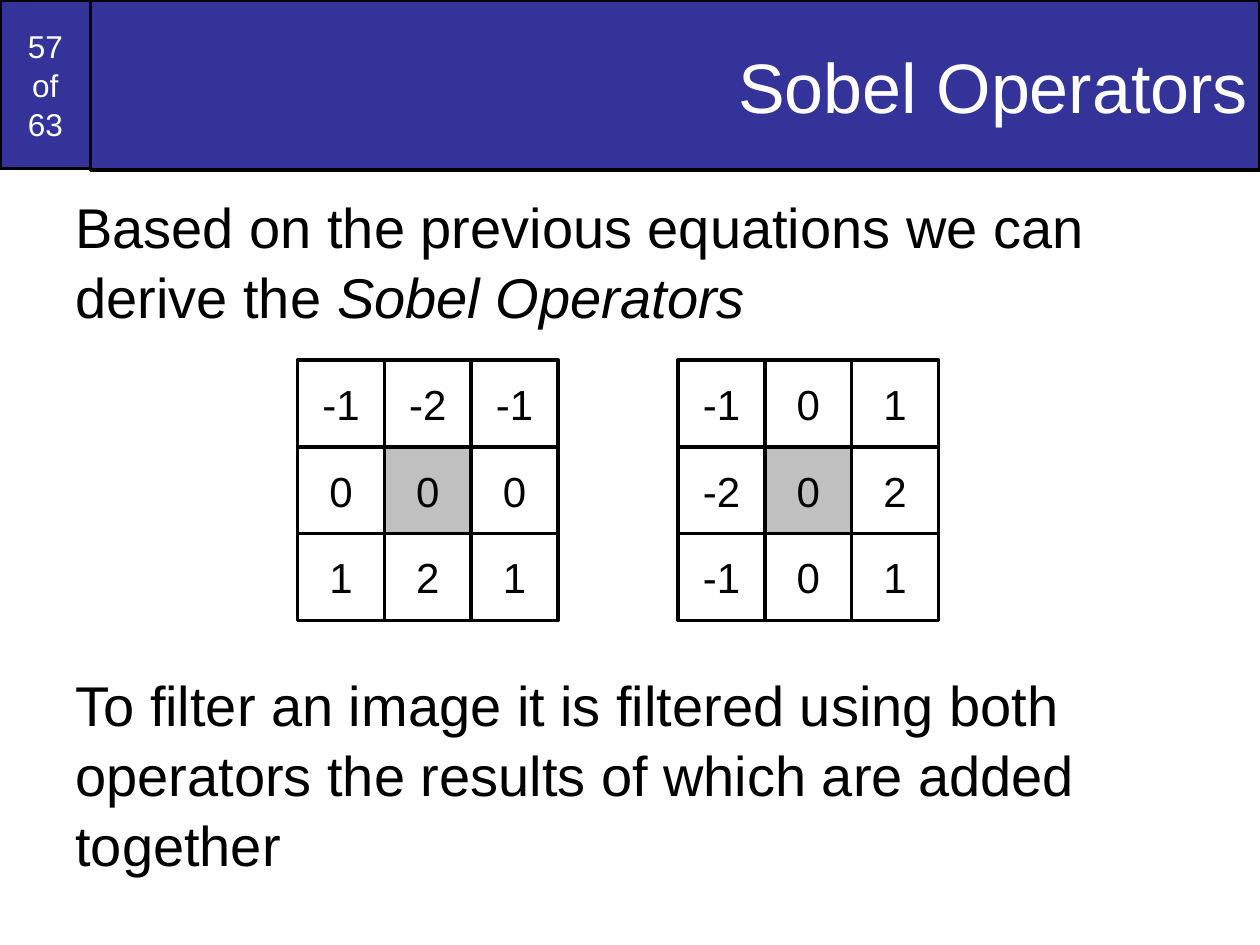
import pptx
import pptx.dml.color
import pptx.enum.shapes
import pptx.enum.text
import pptx.util

Cm = pptx.util.Cm
Pt = pptx.util.Pt
RGBColor = pptx.dml.color.RGBColor
ALIGN = pptx.enum.text.PP_ALIGN
ANCHOR = pptx.enum.text.MSO_ANCHOR

BLUE = RGBColor(0x33, 0x33, 0x99)
WHITE = RGBColor(0xFF, 0xFF, 0xFF)
BLACK = RGBColor(0x00, 0x00, 0x00)
GREY = RGBColor(0xC0, 0xC0, 0xC0)

CELL = 1.75
KERNEL_TOP = 7.26
KERNELS = [
    (6, [["-1", "-2", "-1"], ["0", "0", "0"], ["1", "2", "1"]]),
    (13.67, [["-1", "0", "1"], ["-2", "0", "2"], ["-1", "0", "1"]]),
]
BODY = [
    (8, [("Based on the previous equations we can derive the ", False),
         ("Sobel Operators", True)]),
    (193, [("To filter an image it is filtered using both operators "
            "the results of which are added together", False)]),
]


def set_attrs(obj, values):
    for name, value in values.items():
        setattr(obj, name, value)


def add_box(shapes, box, text, fill, font, para, wrap=True):
    sp = shapes.add_shape(pptx.enum.shapes.MSO_SHAPE.RECTANGLE, *map(Cm, box))
    sp.shadow.inherit = False
    sp.fill.solid()
    sp.fill.fore_color.rgb = fill
    sp.line.color.rgb = BLACK
    sp.line.width = Pt(2)
    tf = sp.text_frame
    set_attrs(tf, {"word_wrap": wrap, "vertical_anchor": ANCHOR.MIDDLE})
    p = tf.paragraphs[0]
    p.text = text
    set_attrs(p, para)
    size, color = font
    for r in p.runs:
        set_attrs(r.font, {"name": "Arial", "size": Pt(size)})
        r.font.color.rgb = color


def add_kernel(s, left, rows):
    grp = s.shapes.add_group_shape()
    for i, row in enumerate(rows):
        for j, value in enumerate(row):
            box = (left + j * CELL, KERNEL_TOP + i * CELL, CELL, CELL)
            fill = GREY if i == j == 1 else WHITE
            add_box(grp.shapes, box, value, fill, (24, BLACK),
                    {"alignment": ALIGN.CENTER}, wrap=False)


def add_body(s):
    tf = s.shapes.add_textbox(Cm(1.27), Cm(3.71), Cm(24.13), Cm(15.34)).text_frame
    tf.word_wrap = True
    for i, (before, runs) in enumerate(BODY):
        p = tf.add_paragraph() if i else tf.paragraphs[0]
        set_attrs(p, {"space_before": Pt(before), "line_spacing": 1.04})
        for text, italic in runs:
            r = p.add_run()
            r.text = text
            set_attrs(r.font, {"name": "Arial", "size": Pt(32), "italic": italic})
            r.font.color.rgb = BLACK


def main():
    """Build the Sobel operators slide."""
    prs = pptx.Presentation()
    set_attrs(prs, {"slide_width": Cm(25.4), "slide_height": Cm(19.05)})
    s = prs.slides.add_slide(prs.slide_layouts[6])
    add_box(s.shapes, (0, 0, 1.83, 3.4), "57\vof\v63", BLUE, (18, WHITE),
            {"alignment": ALIGN.CENTER, "space_before": Pt(11.2),
             "line_spacing": 1.04})
    add_box(s.shapes, (1.83, 0, 23.57, 3.43), "Sobel Operators", BLUE,
            (40, WHITE), {"alignment": ALIGN.RIGHT})
    add_body(s)
    for left, rows in KERNELS:
        add_kernel(s, left, rows)
    prs.save("out.pptx")


if __name__ == "__main__":
    main()
